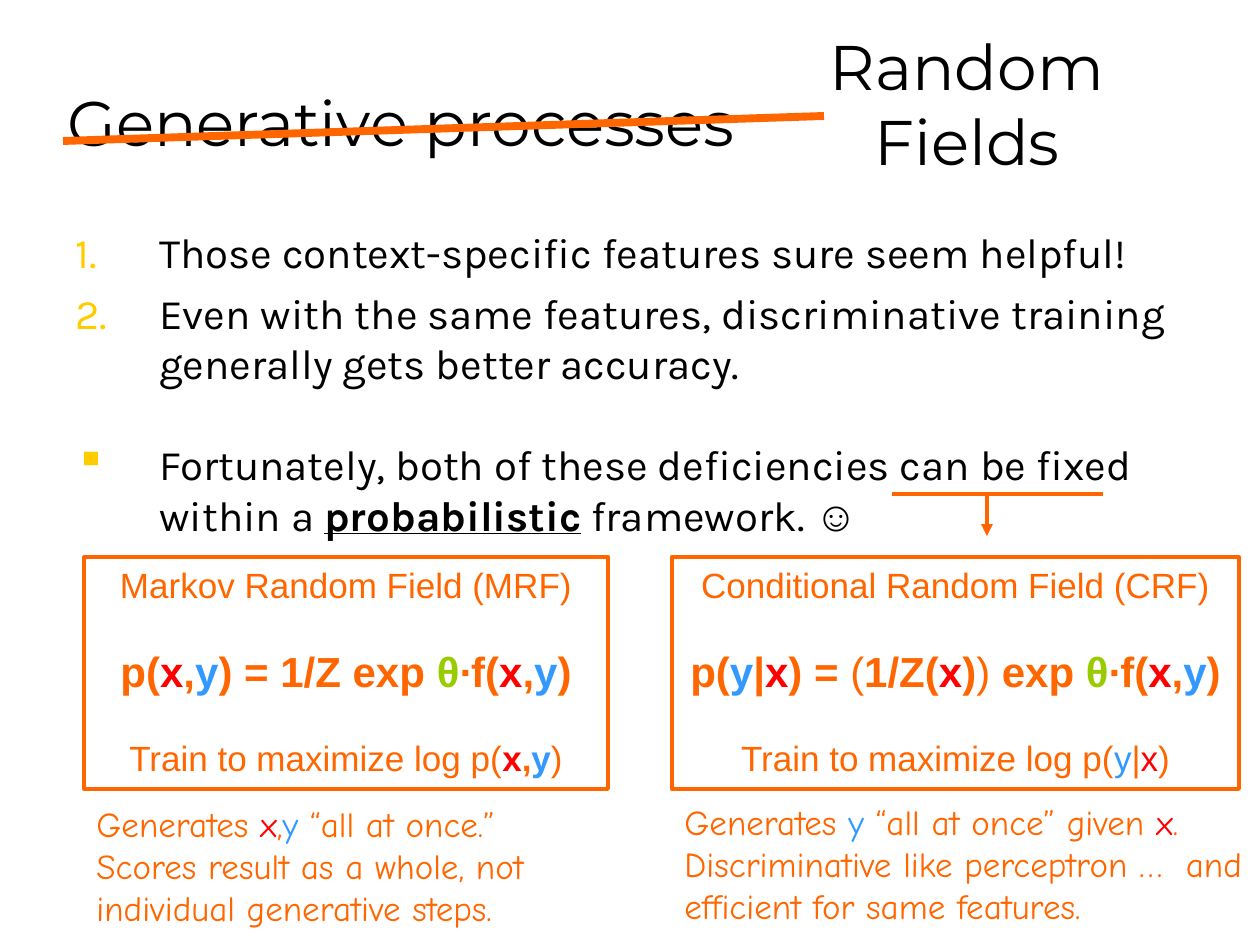
"""Builds the slide that moves from generative processes to random fields."""
from lxml.etree import SubElement
from pptx import Presentation
from pptx.dml.color import RGBColor
from pptx.enum.shapes import MSO_CONNECTOR, MSO_SHAPE
from pptx.enum.text import MSO_ANCHOR, PP_ALIGN
from pptx.oxml.ns import qn
from pptx.util import Pt

PX = 914400 / 126
BLACK = RGBColor(0x00, 0x00, 0x00)
WHITE = RGBColor(0xFF, 0xFF, 0xFF)
ORANGE = RGBColor(0xFF, 0x66, 0x00)
RED = RGBColor(0xFF, 0x00, 0x00)
BLUE = RGBColor(0x33, 0x99, 0xFF)
GREEN = RGBColor(0x99, 0xCC, 0x00)
YELLOW = RGBColor(0xFF, 0xCC, 0x00)
X, Y, THETA = ("x", {"color": RED}), ("y", {"color": BLUE}), ("θ", {"color": GREEN})
BOLD_X, BOLD_Y = ("x", {"color": RED, "bold": True}), ("y", {"color": BLUE, "bold": True})


def px(*lengths):
    return [round(length * PX) for length in lengths]


def write(frame, pieces, font="Arial", size=20, color=ORANGE, bold=False,
          align=PP_ALIGN.LEFT, before=0):
    frame.word_wrap = True
    paragraph = frame.paragraphs[0] if not frame.text else frame.add_paragraph()
    paragraph.alignment = align
    if before:
        paragraph.space_before = Pt(before)
    for piece in pieces:
        text, own = (piece, {}) if isinstance(piece, str) else piece
        run = paragraph.add_run()
        run.text = text
        run.font.name = own.get("font", font)
        run.font.size = Pt(size)
        run.font.bold = own.get("bold", bold)
        run.font.underline = own.get("underline", False)
        run.font.color.rgb = own.get("color", color)
    return paragraph


presentation = Presentation()
presentation.slide_width, presentation.slide_height = px(1260, 945)
slide = presentation.slides.add_slide(presentation.slide_layouts[6])
shapes = slide.shapes

points = shapes.add_textbox(*px(63, 220, 1197, 325)).text_frame
for pieces, before, mark, value in [
    (["Those context-specific features sure seem helpful!"], 0,
     "a:buAutoNum", {"type": "arabicPeriod"}),
    (["Even with the same features, discriminative training generally gets better accuracy."], 6,
     "a:buAutoNum", {"type": "arabicPeriod"}),
    (["Fortunately, both of these deficiencies can be fixed within a ",
      ("probabilistic", {"bold": True, "underline": True}),
      " framework. ", ("☺", {"font": "Arial"})], 29, "a:buChar", {"char": "▪"}),
]:
    point = write(points, pieces, font="Karla", size=24, color=BLACK, before=before)
    properties = point._p.get_or_add_pPr()
    indent, = px(84)
    properties.set("marL", str(indent))
    properties.set("indent", str(-indent))
    mark_color = SubElement(properties, qn("a:buClr"))
    SubElement(mark_color, qn("a:srgbClr"), val=str(YELLOW))
    SubElement(properties, qn(mark), **value)

for left, width, model, formula, goal in [
    (84, 524, "Markov Random Field (MRF)",
     ["p(", X, ",", Y, ") = 1/Z exp ", THETA, "∙f(", X, ",", Y, ")"],
     [BOLD_X, (",", {"bold": True}), BOLD_Y]),
    (672, 567, "Conditional Random Field (CRF)",
     ["p(", Y, "|", X, ") = ", ("(", {"bold": False}), "1/Z(", X, ")",
      (")", {"bold": False}), " exp ", THETA, "∙f(", X, ",", Y, ")"],
     [Y, "|", X]),
]:
    panel = shapes.add_shape(MSO_SHAPE.RECTANGLE, *px(left, 557, width, 232))
    panel.shadow.inherit = False
    panel.fill.solid()
    panel.fill.fore_color.rgb = WHITE
    panel.line.color.rgb = ORANGE
    panel.line.width = Pt(2.25)
    panel.text_frame.vertical_anchor = MSO_ANCHOR.TOP
    write(panel.text_frame, [model], align=PP_ALIGN.CENTER)
    write(panel.text_frame, formula, size=24, bold=True, align=PP_ALIGN.CENTER, before=23)
    write(panel.text_frame, ["Train to maximize log p(", *goal, ")"],
          align=PP_ALIGN.CENTER, before=23)

for left, top, width, opening, remark in [
    (84, 796, 525, ["Generates ", X, ",", Y, " “all at once.”"],
     "Scores result as a whole, not individual generative steps."),
    (672, 794, 588, ["Generates ", Y, " “all at once” given ", X, "."],
     "Discriminative like perceptron …  and efficient for same features."),
]:
    note = shapes.add_textbox(*px(left, top, width, 139)).text_frame
    write(note, opening, font="Comic Neue")
    write(note, [remark], font="Comic Neue")

heading = shapes.add_textbox(*px(55, 8, 1162, 157)).text_frame
heading.vertical_anchor = MSO_ANCHOR.BOTTOM
write(heading, ["Generative processes"], font="Montserrat", size=36, color=BLACK)

for ends, weight, has_head in [
    ((987, 494, 987, 536), 2.25, True),
    ((892, 494, 1103, 494), 2.25, False),
    ((63, 141, 824, 116), 4.5, False),
]:
    stroke = shapes.add_connector(MSO_CONNECTOR.STRAIGHT, *px(*ends))
    stroke.line.color.rgb = ORANGE
    stroke.line.width = Pt(weight)
    if has_head:
        SubElement(stroke.line._get_or_add_ln(), qn("a:tailEnd"), type="triangle")
    SubElement(stroke._element.spPr, qn("a:effectLst"))

replacement = shapes.add_textbox(*px(737, 21, 460, 88)).text_frame
write(replacement, ["Random Fields"], font="Montserrat", size=36, color=BLACK,
      align=PP_ALIGN.CENTER)

presentation.save("out.pptx")
